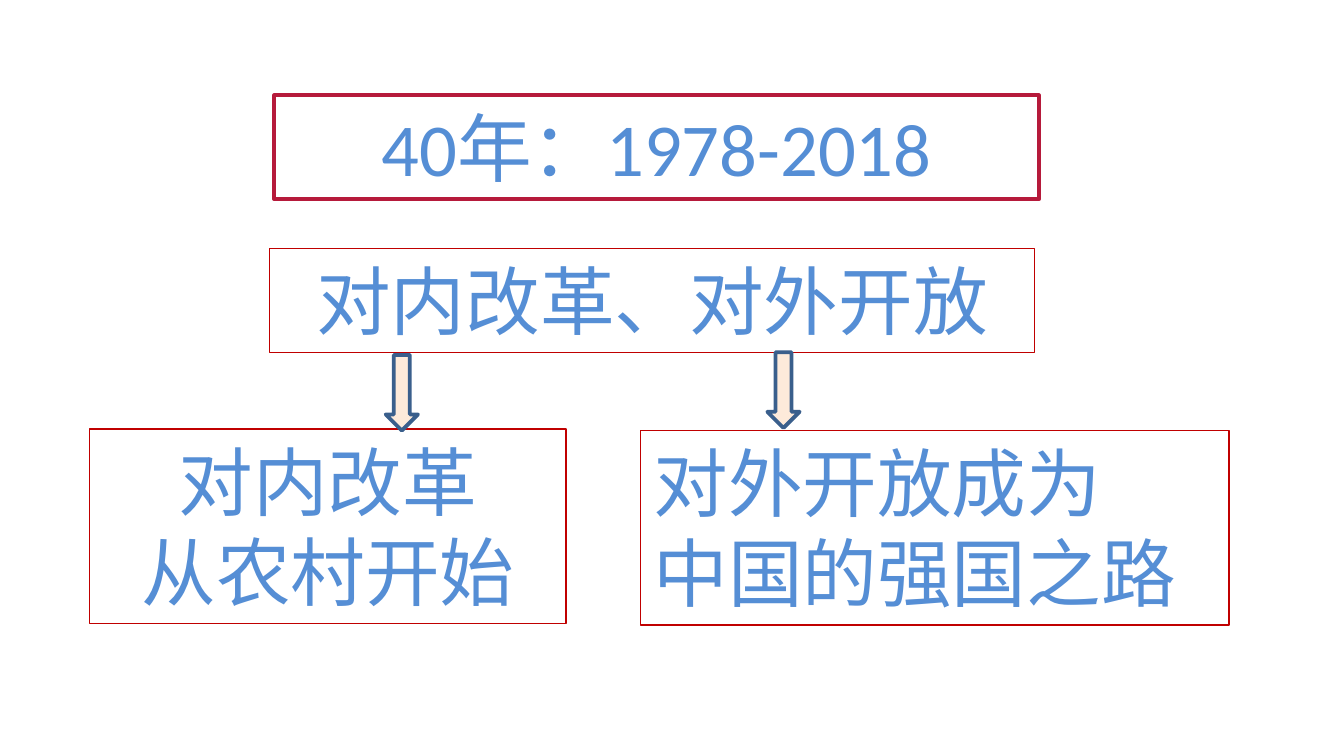
"""Build the slide on forty years of reform and opening up."""
from pptx import Presentation
from pptx.dml.color import RGBColor
from pptx.enum.shapes import MSO_SHAPE
from pptx.enum.text import MSO_ANCHOR, MSO_AUTO_SIZE, PP_ALIGN
from pptx.util import Inches, Pt

prs = Presentation()
prs.slide_width, prs.slide_height = Inches(10), Inches(10 * 9 / 16)
COL, ROW = prs.slide_width / 100, prs.slide_height / 100
s = prs.slides.add_slide(prs.slide_layouts[5])


def rgb(value):
    """Turn a hex string into a colour."""
    return RGBColor.from_string(value)


def paint(sp, fill, line, width):
    """Fill and outline a shape."""
    sp.fill.solid()
    sp.fill.fore_color.rgb = rgb(fill)
    sp.line.color.rgb = rgb(line)
    sp.line.width = Pt(width)


FRAME = {"word_wrap": True, "vertical_anchor": MSO_ANCHOR.TOP}
FONT = {"name": "Calibri", "size": Pt(40)}
CENTER, LEFT = PP_ALIGN.CENTER, PP_ALIGN.LEFT
FIXED, GROW = MSO_AUTO_SIZE.NONE, MSO_AUTO_SIZE.SHAPE_TO_FIT_TEXT

boxes = [
    (s.shapes.title, 20.4, 12.6, 56.9, 13.76, "B61A3B", 2, CENTER, FIXED, ["40年：1978-2018"]),
    (None, 20.06, 32.85, 56.9, 13.76, "C00000", 0.75, CENTER, GROW, ["对内改革、对外开放"]),
    (None, 47.64, 56.95, 43.8, 25.73, "C00000", 0.75, LEFT, GROW,
     ["对外开放成为", "中国的强国之路"]),
    (None, 6.68, 56.78, 35.45, 25.73, "C00000", 0.75, CENTER, GROW,
     ["对内改革", "从农村开始"]),
]
for sp, x, y, w, h, line, width, align, fit, lines in boxes:
    sp = sp or s.shapes.add_textbox(0, 0, 0, 0)
    place = {"left": x * COL, "top": y * ROW, "width": w * COL, "height": h * ROW}
    for key, value in place.items():
        setattr(sp, key, int(value))
    paint(sp, "FFFFFF", line, width)
    tf = sp.text_frame
    tf.text = "\n".join(lines)
    tf.auto_size = fit
    for key, value in FRAME.items():
        setattr(tf, key, value)
    for p in tf.paragraphs:
        p.alignment = align
        for r in p.runs:
            r.font.color.rgb = rgb("558ED5")
            for key, value in FONT.items():
                setattr(r.font, key, value)

for x, y in [(28.7, 46.95), (57.1, 46.6)]:
    arrow = s.shapes.add_shape(MSO_SHAPE.DOWN_ARROW, int(x * COL), int(y * ROW),
                               int(2.4 * COL), int(10 * ROW))
    arrow.shadow.inherit = False
    paint(arrow, "FDEADA", "3A5F8C", 2)

prs.save("out.pptx")
